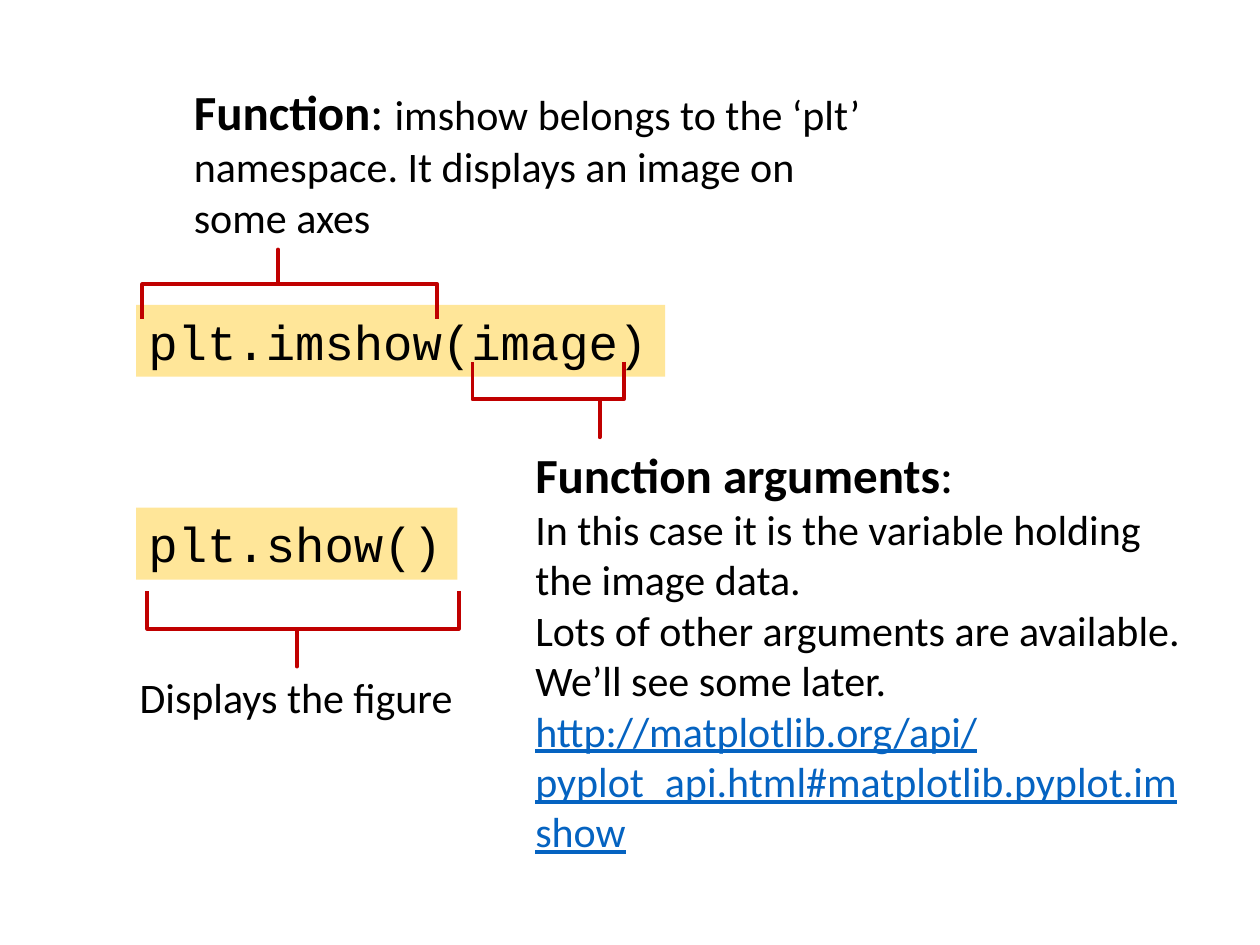
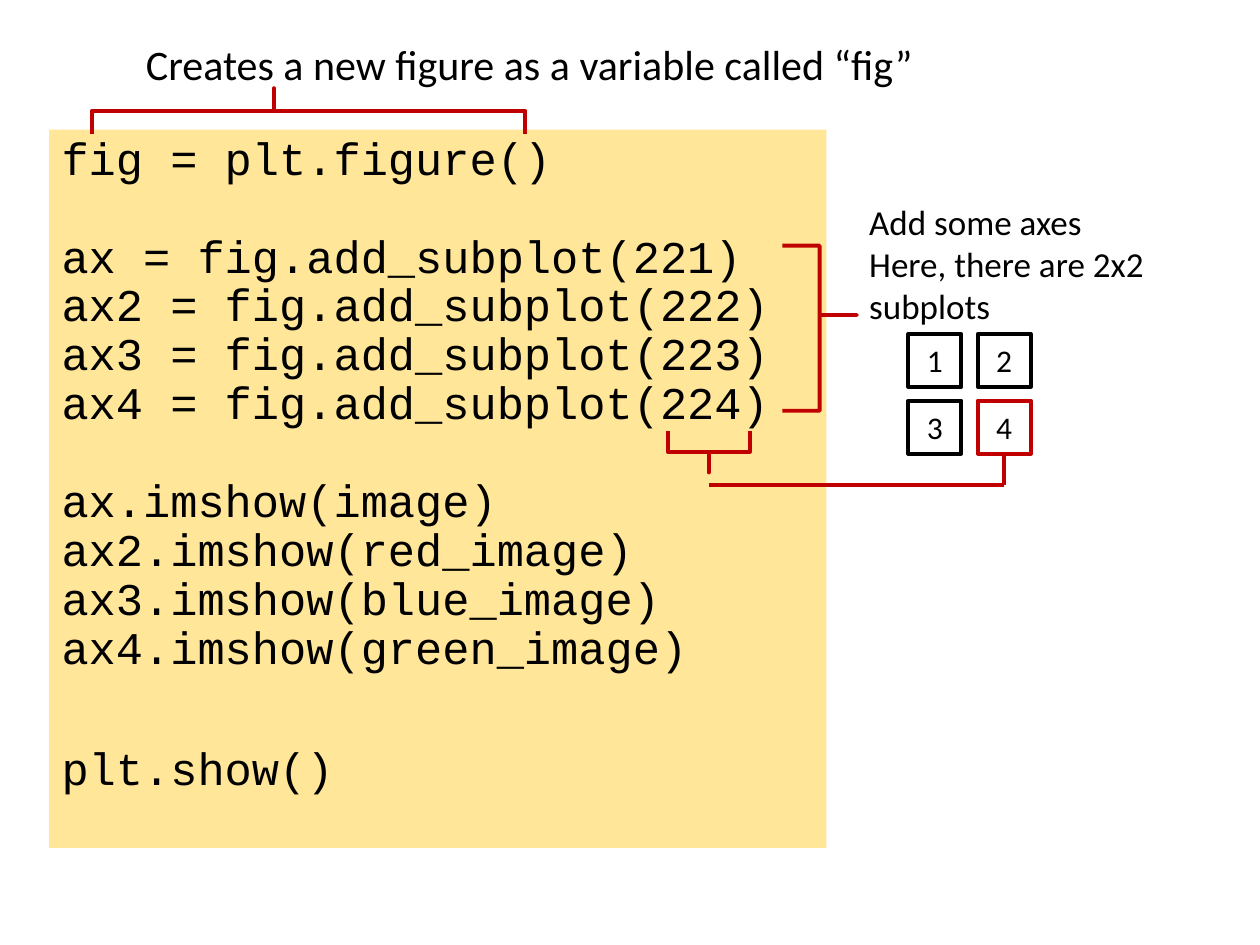
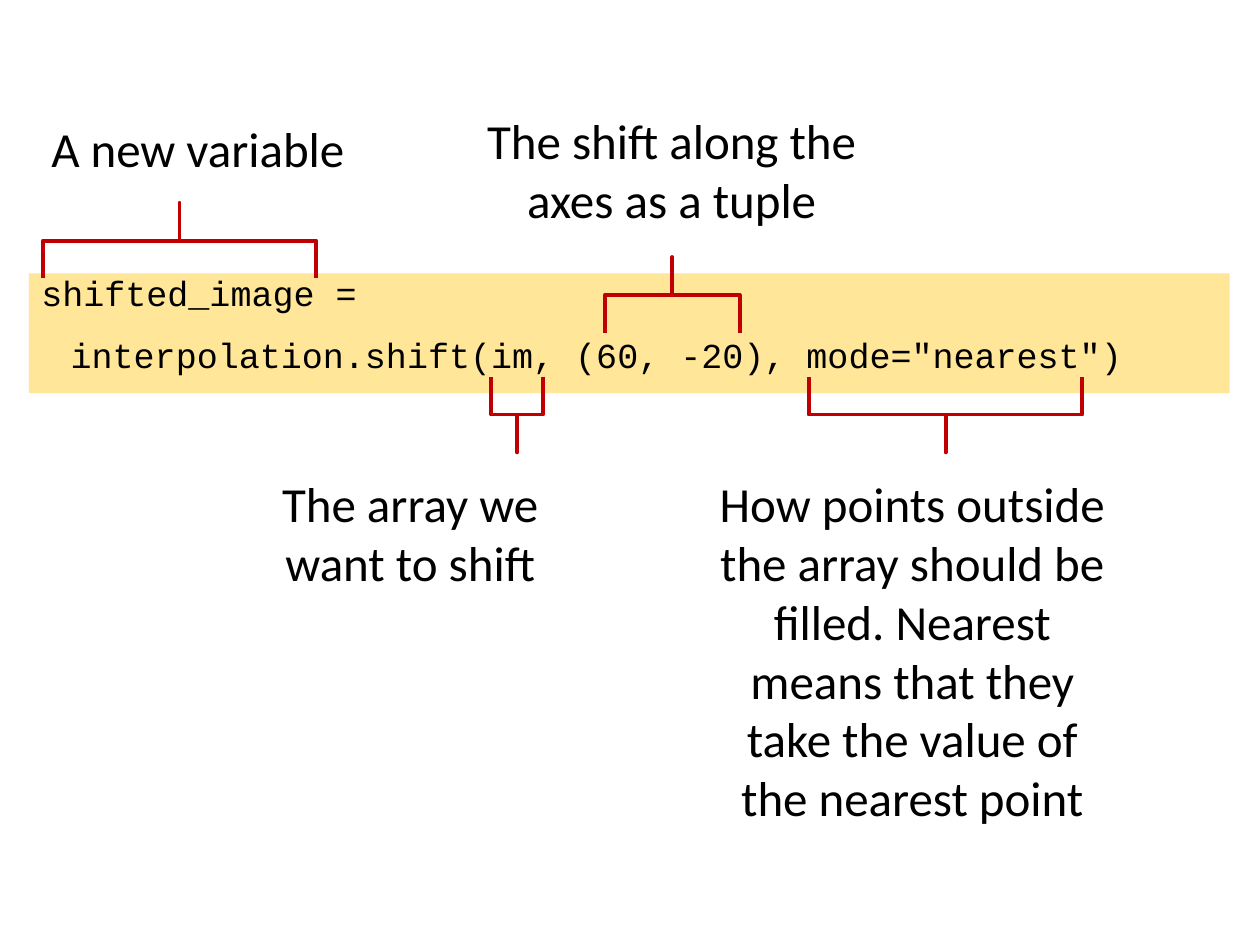
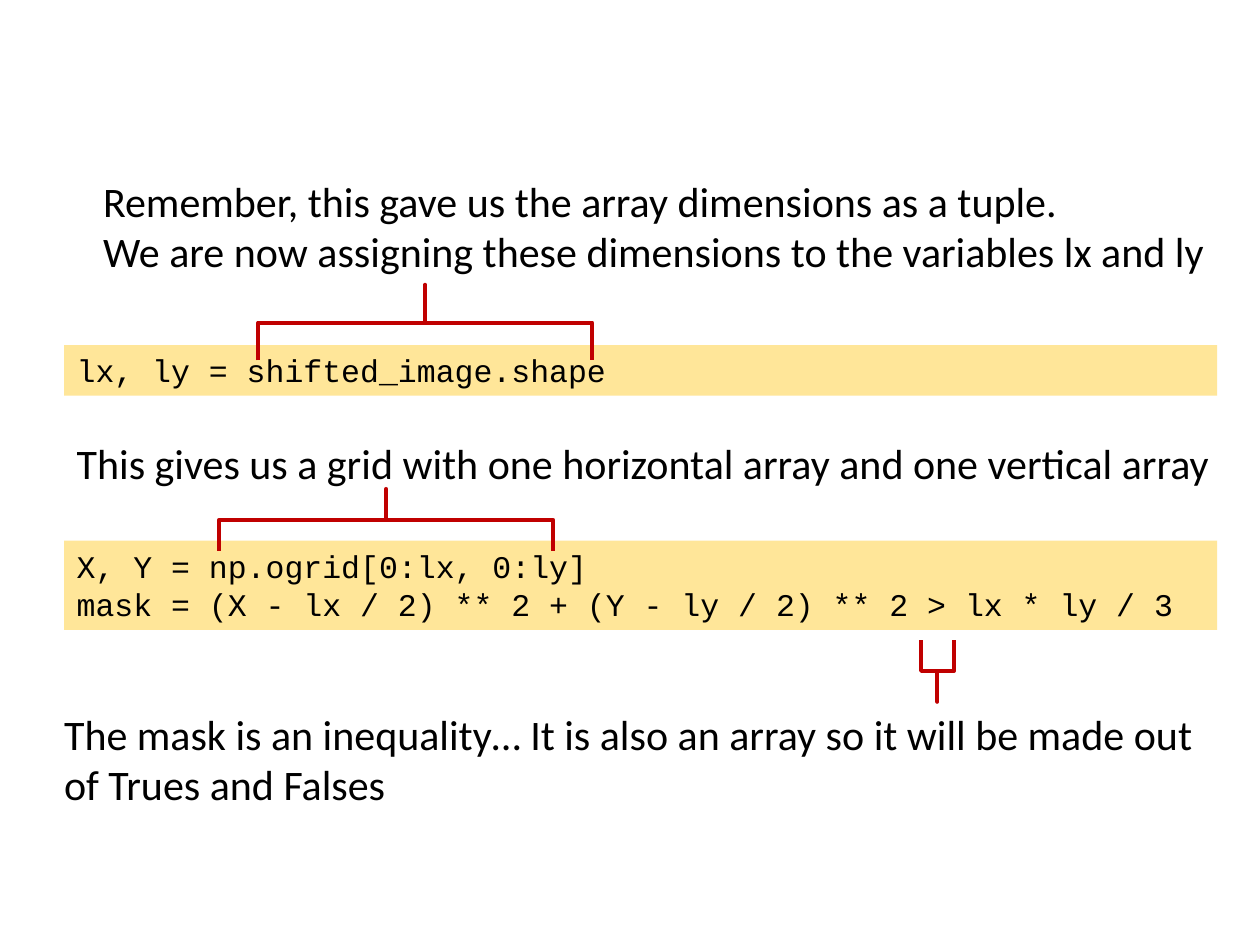
from copy import deepcopy

from pptx import Presentation
from pptx.dml.color import RGBColor
from pptx.enum.shapes import MSO_CONNECTOR, MSO_SHAPE
from pptx.enum.text import MSO_ANCHOR, PP_ALIGN
from pptx.oxml.ns import qn
from pptx.util import Inches, Pt

RECTANGLE, BRACE = MSO_SHAPE.RECTANGLE, MSO_SHAPE.RIGHT_BRACE
STRAIGHT = MSO_CONNECTOR.STRAIGHT
LEFT, CENTER = PP_ALIGN.LEFT, PP_ALIGN.CENTER
TOP, MIDDLE = MSO_ANCHOR.TOP, MSO_ANCHOR.MIDDLE

# Shared look
PROSE, CODE = "Calibri", "Courier New"
BLACK, WHITE, RED, SAND, LINK = "000000", "FFFFFF", "C00000", "FFE699", "0563C1"
LINE_WIDTH = 2.25
ROTATION = {"up": 270, "down": 90, "right": 0}

# Content: boxes are (left, top, width, height) in inches.
# A paragraph is a string, or a list of (text, format changes) runs.
# Braces are (visible box, pointing direction, share at which the tip sits).
HEADING = {"size": 28, "bold": True}
AFTER_HEADING = {"size": 28}

SLIDES = [
    {
        "code": [
            {"box": (1.08, 2.42, 4.2, 0.57), "size": 28, "wrap": False,
             "text": ["plt.imshow(image)"]},
            {"box": (1.08, 4.03, 2.55, 0.57), "size": 28, "wrap": False,
             "text": ["plt.show()"]},
        ],
        "notes": [
            {"box": (1.44, 0.6, 5.53, 1.38), "size": 24, "text": [
                [("Function", HEADING), (": ", AFTER_HEADING),
                 ("imshow belongs to the ‘plt’ namespace. "
                  "It displays an image on some axes", {})]]},
            {"box": (4.15, 3.48, 5.4, 3), "size": 24, "text": [
                [("Function arguments", HEADING), (":", AFTER_HEADING)],
                "In this case it is the variable holding the image data.",
                "Lots of other arguments are available. We’ll see some later.",
                [("http://matplotlib.org/api/pyplot_api.html"
                  "#matplotlib.pyplot.imshow",
                  {"color": LINK, "underline": True})]]},
            {"box": (1.01, 5.28, 2.7, 0.5), "size": 24,
             "text": ["Displays the figure"]},
        ],
        "braces": [
            ((1.13, 1.98, 2.34, 0.55), "up", 0.46),
            ((3.75, 2.87, 1.2, 0.6), "down", 0.16),
            ((1.17, 4.69, 2.47, 0.6), "down", 0.52),
        ],
    },
    {
        "code": [
            {"box": (0.39, 1.03, 6.17, 5.7), "size": 25.9,
             "spacing": 0.9, "before": 10, "text": [
                 "\v".join([
                     "fig = plt.figure()",
                     "",
                     "ax = fig.add_subplot(221)",
                     "ax2 = fig.add_subplot(222)",
                     "ax3 = fig.add_subplot(223)",
                     "ax4 = fig.add_subplot(224)",
                     "",
                     "ax.imshow(image)",
                     "ax2.imshow(red_image)",
                     "ax3.imshow(blue_image)",
                     "ax4.imshow(green_image)",
                     ""]),
                 "plt.show()"]},
        ],
        "notes": [
            {"box": (1.06, 0.26, 7.45, 0.5), "size": 24,
             "text": ["Creates a new figure as a variable called “fig”"]},
            {"box": (6.8, 1.54, 2.71, 1.11), "size": 20,
             "text": ["Add some axes", "Here, there are 2x2 subplots"]},
        ],
        "braces": [
            ((6.21, 1.95, 0.59, 1.31), "right", 0.42),
            ((0.73, 0.7, 3.44, 0.36), "up", 0.42),
            ((5.3, 3.42, 0.65, 0.33), "down", 0.5),
        ],
        "subplots": {"origin": (7.21, 2.65), "step": (0.55, 0.53), "side": 0.42,
                     "columns": 2, "labels": "1234", "marked": "4"},
        "lines": [(5.63, 3.85, 7.97, 3.85), (7.97, 3.85, 7.97, 3.6)],
    },
    {
        "code": [
            {"box": (0.23, 2.17, 9.53, 0.95), "size": 20,
             "spacing": 0.8, "before": 10, "text": [
                 "shifted_image =",
                 [(" ", {"size": 28}),
                  ('interpolation.shift(im, (60, -20), mode="nearest")', {})]]},
        ],
        "notes": [
            {"box": (1.81, 3.71, 2.89, 1.04), "size": 28, "align": CENTER,
             "text": ["The array we want to shift"]},
            {"box": (5.53, 3.71, 3.42, 2.93), "size": 28, "align": CENTER,
             "text": ["How points outside the array should be filled. Nearest "
                      "means that they take the value of the nearest point"]},
            {"box": (3.64, 0.83, 3.38, 1.04), "size": 28, "align": CENTER,
             "text": ["The shift along the axes as a tuple"]},
            {"box": (-0.12, 0.89, 3.38, 0.57), "size": 28, "align": CENTER,
             "text": ["A new variable"]},
        ],
        "braces": [
            ((3.9, 2.99, 0.41, 0.6), "down", 0.5),
            ((6.42, 2.99, 2.17, 0.6), "down", 0.5),
            ((4.8, 2.04, 1.07, 0.6), "up", 0.5),
            ((0.34, 1.61, 2.17, 0.6), "up", 0.5),
        ],
    },
    {
        "code": [
            {"box": (0.51, 2.74, 9.15, 0.4), "size": 18,
             "text": ["lx, ly = shifted_image.shape"]},
            {"box": (0.51, 4.29, 9.15, 0.71), "size": 18, "text": [
                "X, Y = np.ogrid[0:lx, 0:ly]",
                "mask = (X - lx / 2) ** 2 + (Y - ly / 2) ** 2 > lx * ly / 3"]},
        ],
        "notes": [
            {"box": (0.72, 1.34, 8.94, 1.31), "size": 24, "text": [
                "Remember, this gave us the array dimensions as a tuple.",
                "We are now assigning these dimensions to the variables "
                "lx and ly"]},
            {"box": (0.51, 3.42, 9.35, 0.5), "size": 24, "wrap": False,
             "text": ["This gives us a grid with one horizontal array "
                      "and one vertical array"]},
            {"box": (0.41, 5.57, 9.25, 0.91), "size": 24,
             "text": ["The mask is an inequality… It is also an array so it "
                      "will be made out of Trues and Falses"]},
        ],
        "braces": [
            ((2.05, 2.26, 2.65, 0.6), "up", 0.5),
            ((1.74, 3.88, 2.65, 0.49), "up", 0.5),
            ((7.31, 5.08, 0.26, 0.49), "down", 0.5),
        ],
    },
]


def rgb(color):
    return RGBColor.from_string(color)


def inches(lengths):
    return [Inches(length) for length in lengths]


def stroke(line, color):
    line.color.rgb = rgb(color)
    line.width = Pt(LINE_WIDTH)


def style_run(run, face, size, bold=None, color=BLACK, underline=None):
    font = run.font
    font.name, font.size, font.bold = face, Pt(size), bold
    font.underline = underline
    font.color.rgb = rgb(color)


def style_breaks(paragraph):
    """Give line breaks and the closing empty line the height of the text."""
    properties = paragraph.runs[0].font._element
    for line_break in paragraph._p.findall(qn("a:br")):
        line_break.append(deepcopy(properties))
    ending = deepcopy(properties)
    ending.tag = qn("a:endParaRPr")
    paragraph._p.append(ending)


def write(frame, paragraphs, face, size, align=LEFT, anchor=TOP, wrap=True,
          spacing=None, before=None):
    frame.word_wrap = wrap
    frame.vertical_anchor = anchor
    for index, content in enumerate(paragraphs):
        paragraph = frame.add_paragraph() if index else frame.paragraphs[0]
        paragraph.alignment = align
        paragraph.line_spacing = spacing
        if before:
            paragraph.space_before = Pt(before)
        if isinstance(content, str):
            paragraph.text = content
            for run in paragraph.runs:
                style_run(run, face, size)
            if "\v" in content:
                style_breaks(paragraph)
        else:
            for words, changes in content:
                run = paragraph.add_run()
                run.text = words
                style_run(run, face, **{"size": size, **changes})


def add_panel(slide, box, fill, outline=None):
    panel = slide.shapes.add_shape(RECTANGLE, *inches(box))
    panel.shadow.inherit = False
    panel.fill.solid()
    panel.fill.fore_color.rgb = rgb(fill)
    if outline:
        stroke(panel.line, outline)
    else:
        panel.line.fill.background()
    return panel


def add_code(slide, box, text, **style):
    write(add_panel(slide, box, SAND).text_frame, text, CODE, **style)


def add_note(slide, box, text, **style):
    write(slide.shapes.add_textbox(*inches(box)).text_frame, text, PROSE, **style)


def add_brace(slide, box, direction, tip):
    left, top, width, height = box
    if direction != "right":
        # A quarter turn swaps the sides about the same centre
        left, top = left + (width - height) / 2, top + (height - width) / 2
        width, height = height, width
    brace = slide.shapes.add_shape(BRACE, *inches((left, top, width, height)))
    brace.rotation = ROTATION[direction]
    brace.adjustments[0], brace.adjustments[1] = 0, tip
    brace.shadow.inherit = False
    brace.fill.background()
    stroke(brace.line, RED)


def add_subplots(slide, origin, step, side, columns, labels, marked):
    for index, label in enumerate(labels):
        row, column = divmod(index, columns)
        box = (origin[0] + column * step[0], origin[1] + row * step[1], side, side)
        cell = add_panel(slide, box, WHITE, RED if label == marked else BLACK)
        write(cell.text_frame, [label], PROSE, 18, align=CENTER, anchor=MIDDLE)


def add_line(slide, ends):
    line = slide.shapes.add_connector(STRAIGHT, *inches(ends))
    stroke(line.line, RED)
    properties = line._element.spPr
    properties.append(properties.makeelement(qn("a:effectLst"), {}))


def main():
    deck = Presentation()
    deck.slide_width, deck.slide_height = Inches(10), Inches(7.5)
    blank = deck.slide_layouts[6]
    for content in SLIDES:
        slide = deck.slides.add_slide(blank)
        for code in content["code"]:
            add_code(slide, **code)
        for note in content["notes"]:
            add_note(slide, **note)
        for brace in content["braces"]:
            add_brace(slide, *brace)
        if "subplots" in content:
            add_subplots(slide, **content["subplots"])
        for ends in content.get("lines", []):
            add_line(slide, ends)
    deck.save("out.pptx")


if __name__ == "__main__":
    main()
